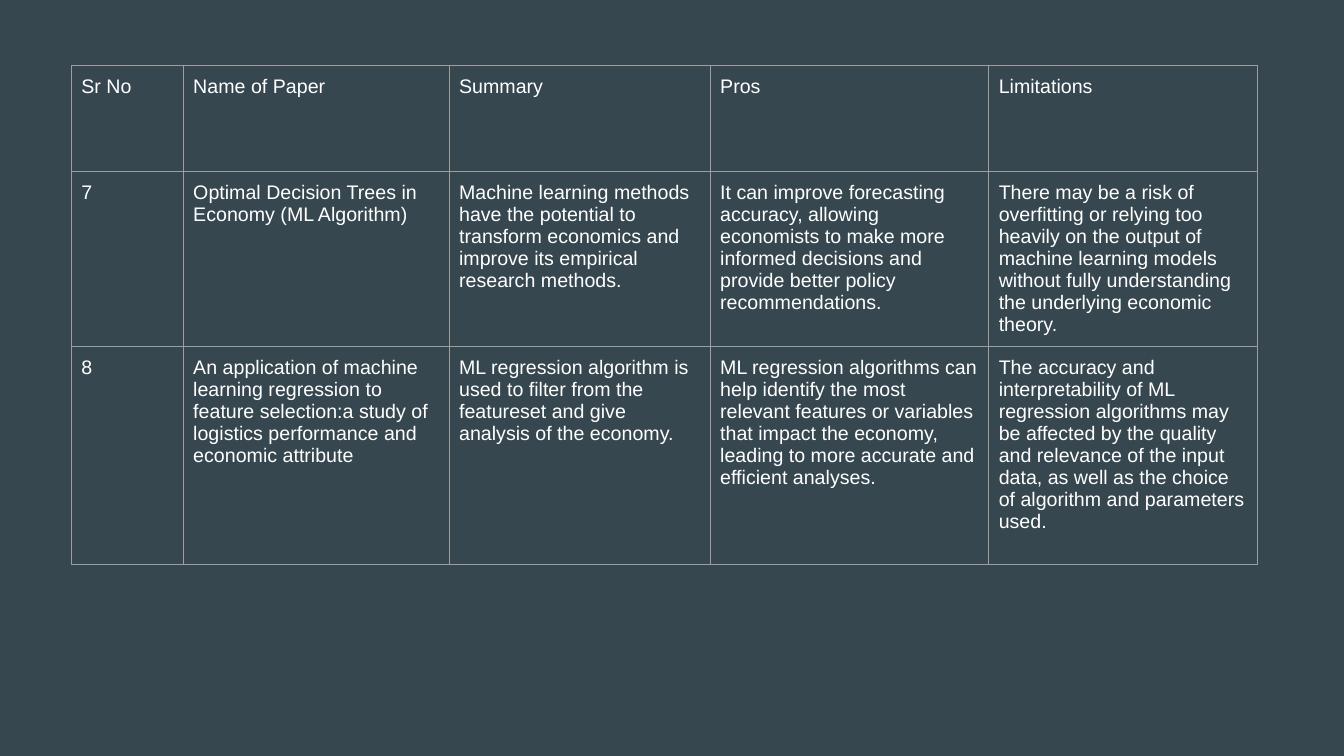
from dataclasses import astuple, dataclass

from lxml import etree
from pptx import Presentation
from pptx.dml.color import RGBColor
from pptx.enum.text import MSO_ANCHOR, PP_ALIGN
from pptx.oxml.ns import qn
from pptx.util import Cm, Pt

LEFT = PP_ALIGN.LEFT
TOP = MSO_ANCHOR.TOP
COLOURS = {"background": "37474F", "text": "FFFFFF", "border": "9E9E9E"}
FONT_NAME = "Arial"
FONT_SIZE = Pt(14)
BORDER_WIDTH = Pt(0.75)
BORDER_TAGS = ("a:lnL", "a:lnR", "a:lnT", "a:lnB")
CELL_MARGIN = Cm(0.25)
BLANK_LAYOUT = 6
TABLE_LEFT, TABLE_TOP = Cm(1.8), Cm(1.65)
COLUMN_WIDTHS = [Cm(width) for width in (2.82, 6.7, 6.58, 7.02, 6.76)]
ROW_HEIGHTS = [Cm(height) for height in (2.67, 4.41, 5.49)]


@dataclass(frozen=True)
class PaperReview:
    number: str
    name: str
    summary: str
    pros: str
    limitations: str


REVIEWS = [
    PaperReview("Sr No", "Name of Paper", "Summary", "Pros", "Limitations"),
    PaperReview(
        "7",
        "Optimal Decision Trees in Economy (ML Algorithm)",
        "Machine learning methods have the potential to transform economics "
        "and improve its empirical research methods.",
        "It can improve forecasting accuracy, allowing economists to make more "
        "informed decisions and provide better policy recommendations.",
        "There may be a risk of overfitting or relying too heavily on the output "
        "of machine learning models without fully understanding the underlying "
        "economic theory.",
    ),
    PaperReview(
        "8",
        "An application of machine learning regression to feature selection:"
        "a study of logistics performance and economic attribute",
        "ML regression algorithm is used to filter from the featureset and give "
        "analysis of the economy.",
        "ML regression algorithms can help identify the most relevant features or "
        "variables that impact the economy, leading to more accurate and "
        "efficient analyses.",
        "The accuracy and interpretability of ML regression algorithms may be "
        "affected by the quality and relevance of the input data, as well as the "
        "choice of algorithm and parameters used.",
    ),
]


def colour(name: str) -> RGBColor:
    return RGBColor.from_string(COLOURS[name])


def add_borders(cell) -> None:
    properties = cell._tc.get_or_add_tcPr()
    for position, tag in enumerate(BORDER_TAGS):
        line = etree.Element(qn(tag), w=str(int(BORDER_WIDTH)))
        fill = etree.SubElement(line, qn("a:solidFill"))
        etree.SubElement(fill, qn("a:srgbClr"), val=COLOURS["border"])
        properties.insert(position, line)


def fill_cell(cell, text: str) -> None:
    cell.text = text
    cell.vertical_anchor = TOP
    cell.margin_left = cell.margin_right = CELL_MARGIN
    cell.margin_top = cell.margin_bottom = CELL_MARGIN
    cell.fill.background()
    para = cell.text_frame.paragraphs[0]
    para.alignment = LEFT
    para.font.name = FONT_NAME
    para.font.size = FONT_SIZE
    para.font.color.rgb = colour("text")
    add_borders(cell)


def add_review_table(page, reviews: list[PaperReview]) -> None:
    table = page.shapes.add_table(
        len(reviews), len(COLUMN_WIDTHS), TABLE_LEFT, TABLE_TOP,
        sum(COLUMN_WIDTHS), sum(ROW_HEIGHTS),
    ).table
    table.first_row = False
    table.horz_banding = False
    for column, width in zip(table.columns, COLUMN_WIDTHS):
        column.width = width
    for row, height, review in zip(table.rows, ROW_HEIGHTS, reviews):
        row.height = height
        for cell, text in zip(row.cells, astuple(review)):
            fill_cell(cell, text)


def main() -> None:
    deck = Presentation()
    deck.slide_width, deck.slide_height = Cm(33.87), Cm(19.05)
    page = deck.slides.add_slide(deck.slide_layouts[BLANK_LAYOUT])
    page.background.fill.solid()
    page.background.fill.fore_color.rgb = colour("background")
    add_review_table(page, REVIEWS)
    deck.save("out.pptx")


if __name__ == "__main__":
    main()
